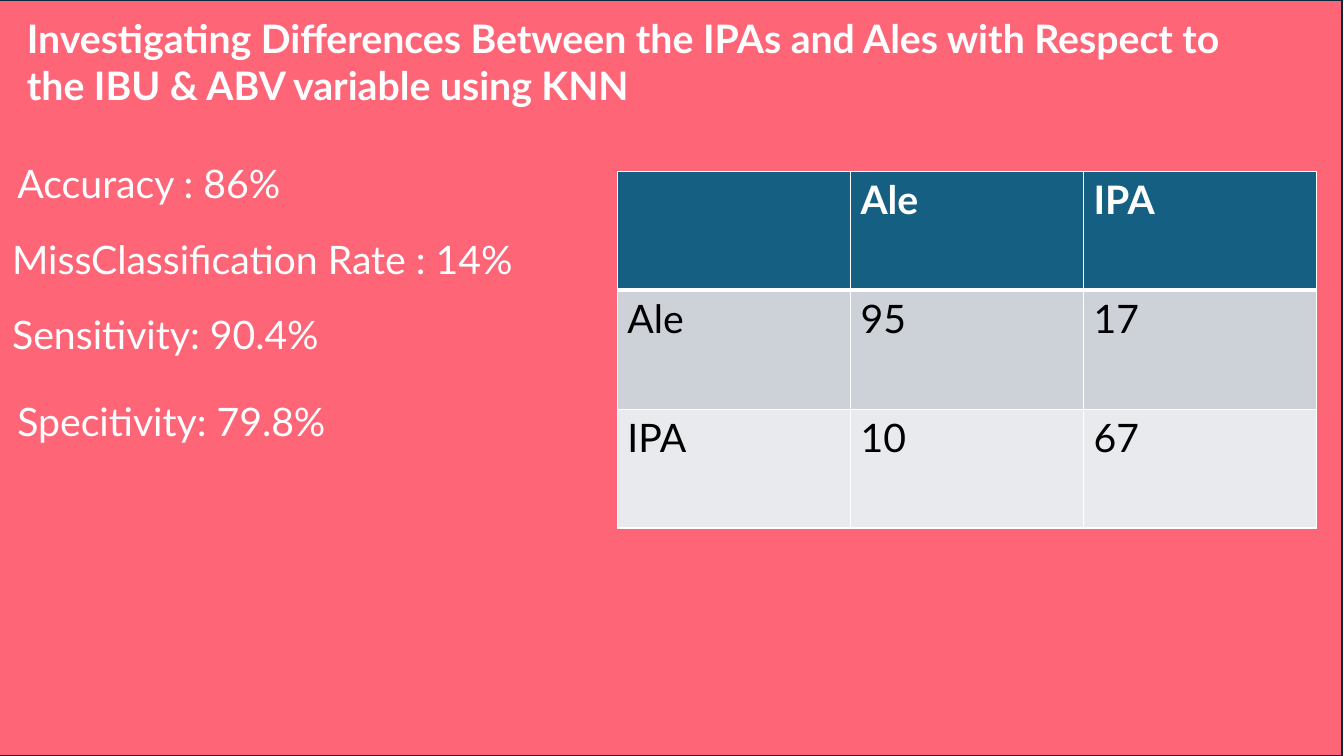
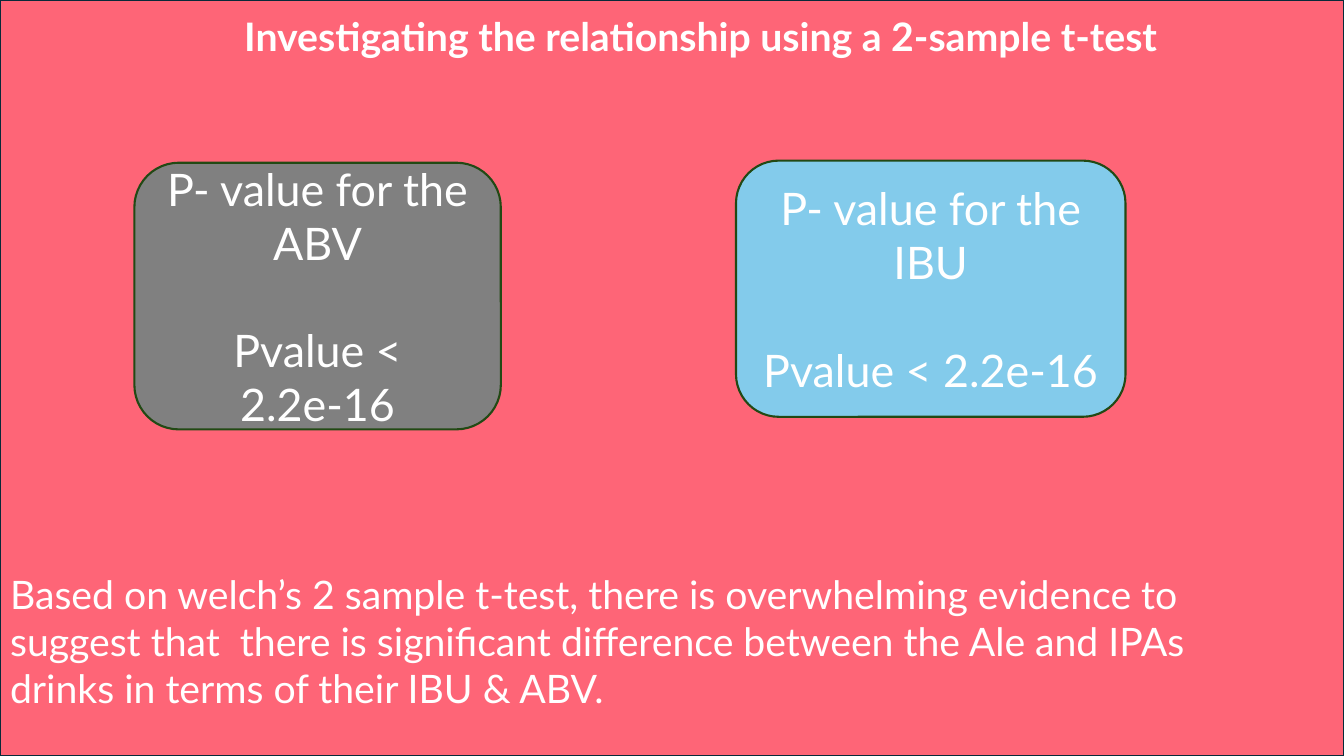
"""Build two slides on how IPAs and Ales differ in IBU and ABV."""
from lxml.etree import SubElement
from pptx import Presentation
from pptx.dml.color import RGBColor
from pptx.enum.shapes import MSO_SHAPE
from pptx.enum.text import MSO_ANCHOR, MSO_AUTO_SIZE, PP_ALIGN
from pptx.oxml.ns import qn
from pptx.util import Pt

PX = 9525
PAGE_WIDTH, PAGE_HEIGHT = 1280, 720
FONT = "Lato"
CORAL = RGBColor(0xFE, 0x65, 0x77)
NAVY = RGBColor(0x09, 0x2A, 0x39)
GREEN = RGBColor(0x22, 0x49, 0x14)
GRAY = RGBColor(0x80, 0x80, 0x80)
SKY = RGBColor(0x83, 0xCB, 0xEB)
TEAL = RGBColor(0x15, 0x60, 0x82)
BAND_DARK = RGBColor(0xCC, 0xD2, 0xD8)
BAND_LIGHT = RGBColor(0xE8, 0xEA, 0xED)
WHITE = RGBColor(0xFF, 0xFF, 0xFF)
BLACK = RGBColor(0, 0, 0)


def scale(*lengths):
    """Turn px lengths into EMU."""
    return [length * PX for length in lengths]


def write_text(frame, lines, size=28, color=WHITE, bold=False,
               align=PP_ALIGN.LEFT, anchor=MSO_ANCHOR.TOP, gaps=(), indents=()):
    """Fill a text frame with one paragraph a line, without bullets."""
    frame.word_wrap = True
    frame.auto_size = MSO_AUTO_SIZE.NONE
    frame.vertical_anchor = anchor
    for index, line in enumerate(lines):
        para = frame.paragraphs[0] if index == 0 else frame.add_paragraph()
        para.alignment = align
        para.space_before = Pt(gaps[index] if gaps else 0)
        properties = para._p.get_or_add_pPr()
        properties.set("marL", str((indents[index] if indents else 0) * PX))
        properties.set("indent", "0")
        SubElement(properties, qn("a:buNone"))
        span = para.add_run()
        span.text = line
        span.font.name = FONT
        span.font.size = Pt(size)
        span.font.bold = bold
        span.font.color.rgb = color


def add_box(page, shape_kind, area, fill, line):
    """Add a filled and outlined shape without a shadow."""
    box = page.shapes.add_shape(shape_kind, *scale(*area))
    box.shadow.inherit = False
    box.fill.solid()
    box.fill.fore_color.rgb = fill
    box.line.color.rgb = line
    box.line.width = Pt(1.5)
    return box


def fill_placeholder(placeholder, area, lines, **text_format):
    """Move a placeholder and write its text."""
    (placeholder.left, placeholder.top,
     placeholder.width, placeholder.height) = scale(*area)
    write_text(placeholder.text_frame, lines, **text_format)


def add_page(deck, title, title_area, backdrop_left=0):
    """Add a page with the coral backdrop and its bold title."""
    page = deck.slides.add_slide(deck.slide_layouts[1])
    backdrop = add_box(page, MSO_SHAPE.RECTANGLE,
                       (backdrop_left, 0, PAGE_WIDTH, PAGE_HEIGHT), CORAL, NAVY)
    page.shapes._spTree.insert(2, backdrop._element)
    fill_placeholder(page.shapes.title, title_area, [title], bold=True)
    return page


def set_borders(cell, **widths):
    """Draw white cell borders, with widths in points by side."""
    properties = cell._tc.get_or_add_tcPr()
    for side, width in widths.items():
        line = SubElement(properties, qn(f"a:ln{side}"), w=str(Pt(width)))
        fill = SubElement(line, qn("a:solidFill"))
        SubElement(fill, qn("a:srgbClr"), val=str(WHITE))


def add_matrix(page, area, rows):
    """Add a table with a dark header row and banded rows below."""
    table = page.shapes.add_table(len(rows), len(rows[0]), *scale(*area)).table
    fills = (TEAL, BAND_DARK, BAND_LIGHT)
    for row_index, row in enumerate(rows):
        header = row_index == 0
        for column_index, value in enumerate(row):
            cell = table.cell(row_index, column_index)
            set_borders(cell, L=1, R=1, T=3 if row_index == 1 else 1,
                        B=3 if header else 1)
            cell.fill.solid()
            cell.fill.fore_color.rgb = fills[row_index]
            if value:
                write_text(cell.text_frame, [value], bold=header,
                           color=WHITE if header else BLACK)


def add_card(page, area, fill, lines):
    """Add a rounded card with centred text and a line's gap between parts."""
    card = add_box(page, MSO_SHAPE.ROUNDED_RECTANGLE, area, fill, GREEN)
    write_text(card.text_frame, lines, size=32, align=PP_ALIGN.CENTER,
               anchor=MSO_ANCHOR.MIDDLE, gaps=(0, 38.4))


def build_knn_page(deck):
    """Show the KNN metrics beside the confusion matrix."""
    page = add_page(
        deck,
        "Investigating Differences Between the IPAs and Ales with Respect to "
        "the IBU & ABV variable using KNN",
        (16, 9, 1179, 100), backdrop_left=-2)
    metrics = ["Accuracy : 86%", "MissClassification Rate : 14%",
               "Sensitivity: 90.4%", "Specitivity: 79.8%"]
    fill_placeholder(page.placeholders[1], (2, 147, 521, 281), metrics,
                     gaps=(0, 20.4, 20.4, 28.3), indents=(5, 0, 0, 5))
    add_matrix(page, (588, 163, 666, 340),
               [("", "Ale", "IPA"), ("Ale", "95", "17"), ("IPA", "10", "67")])


def build_t_test_page(deck):
    """Show the p-values and the conclusion of the t-test."""
    page = add_page(deck, "Investigating the relationship using a 2-sample t-test",
                    (223, 7, 933, 55))
    cards = (("ABV", (128, 155, 349, 254), GRAY),
             ("IBU", (701, 153, 371, 244), SKY))
    for variable, area, fill in cards:
        add_card(page, area, fill,
                 [f"P- value for the {variable}", "Pvalue < 2.2e-16"])
    conclusion = (
        "Based on welch’s 2 sample t-test, there is overwhelming evidence to "
        "suggest that  there is significant difference between the Ale and IPAs "
        "drinks in terms of their IBU & ABV.")
    fill_placeholder(page.placeholders[1], (0, 538, 1226, 145), [conclusion])


def main():
    """Build and save the deck."""
    deck = Presentation()
    deck.slide_width, deck.slide_height = scale(PAGE_WIDTH, PAGE_HEIGHT)
    build_knn_page(deck)
    build_t_test_page(deck)
    deck.save("out.pptx")


if __name__ == "__main__":
    main()
